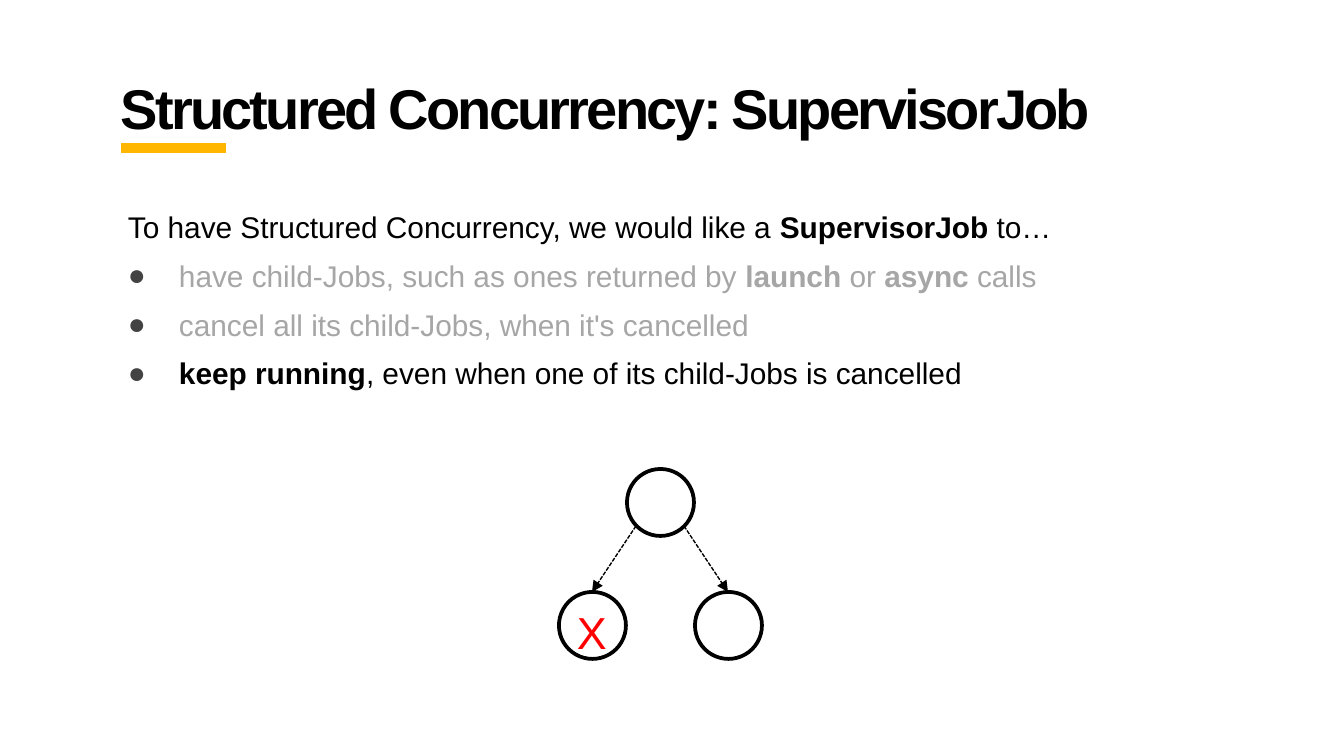
from lxml import etree
from pptx import Presentation
from pptx.dml.color import RGBColor
from pptx.enum.dml import MSO_LINE_DASH_STYLE as Dash
from pptx.enum.shapes import MSO_CONNECTOR as Connector, MSO_SHAPE as Shape
from pptx.enum.text import MSO_AUTO_SIZE as AutoSize
from pptx.oxml.ns import qn
from pptx.util import Emu, Pt

BLACK = RGBColor(0x00, 0x00, 0x00)
GREY = RGBColor(0xA6, 0xA6, 0xA6)
RED = RGBColor(0xFF, 0x00, 0x00)
AMBER = RGBColor(0xFF, 0xB6, 0x00)
BULLET_GREY = RGBColor(0x43, 0x43, 0x43)
FONT = "Arial"
SLIDE_WIDTH, SLIDE_HEIGHT = 1344, 756
INSET = 13

# Each line: colour, bulleted, and (text, bold) pieces
REQUIREMENTS = [
    (BLACK, False, [("To have Structured Concurrency, we would like a ", False),
                    ("SupervisorJob", True), (" to…", False)]),
    (GREY, True, [("have child-Jobs, such as ones returned by ", False),
                  ("launch", True), (" or ", False), ("async", True),
                  (" calls", False)]),
    (GREY, True, [("cancel all its child-Jobs, when it's cancelled", False)]),
    (BLACK, True, [("keep running", True),
                   (", even when one of its child-Jobs is cancelled", False)]),
]


def px(length):
    return Emu(round(length * 914400 / 134.4))


def add_text_frame(slide, left, top, width, height, top_inset=INSET, wrap=True):
    frame = slide.shapes.add_textbox(*map(px, (left, top, width, height))).text_frame
    frame.word_wrap = wrap
    frame.margin_left = frame.margin_right = frame.margin_bottom = px(INSET)
    frame.margin_top = px(top_inset)
    return frame


def style(run, size, color, bold=False):
    font = run.font
    font.name, font.size, font.bold = FONT, Pt(size), bold
    font.color.rgb = color


def add_line(slide, start, end, color, weight):
    line = slide.shapes.add_connector(Connector.STRAIGHT, *map(px, (*start, *end)))
    line.line.color.rgb = color
    line.line.width = Pt(weight)
    etree.SubElement(line._element.spPr, qn("a:effectLst"))
    return line


def add_bullet(paragraph):
    properties = paragraph._p.get_or_add_pPr()
    color = etree.SubElement(properties, qn("a:buClr"))
    etree.SubElement(color, qn("a:srgbClr"), val=str(BULLET_GREY))
    etree.SubElement(properties, qn("a:buFont"), typeface=FONT)
    etree.SubElement(properties, qn("a:buChar"), char="●")


def add_heading(slide, left, top, width, height):
    """Title with tight letter spacing and a short rule beneath it."""
    frame = add_text_frame(slide, left, top, width, height, top_inset=20)
    frame.text = "Structured Concurrency: SupervisorJob"
    title = frame.paragraphs[0].runs[0]
    style(title, 30, BLACK, bold=True)
    title._r.get_or_add_rPr().set("spc", "-150")
    rule_y = top + 94
    add_line(slide, (left + INSET, rule_y), (left + 118, rule_y), AMBER, 5)


def add_requirements(slide, left, top, width, height):
    frame = add_text_frame(slide, left, top, width, height)
    for index, (color, bulleted, pieces) in enumerate(REQUIREMENTS):
        paragraph = frame.add_paragraph() if index else frame.paragraphs[0]
        paragraph.line_spacing = 1.05
        if index:
            paragraph.space_before = Pt(6)
        properties = paragraph._p.get_or_add_pPr()
        properties.set("marL", str(px(67 if bulleted else 16)))
        properties.set("indent", str(px(-51 if bulleted else 0)))
        if bulleted:
            add_bullet(paragraph)
        for text, bold in pieces:
            run = paragraph.add_run()
            run.text = text
            style(run, 16, color, bold)


def add_job(slide, left, top, size):
    job = slide.shapes.add_shape(Shape.OVAL, *map(px, (left, top, size, size)))
    job.shadow.inherit = False
    job.fill.background()
    job.line.color.rgb = BLACK
    job.line.width = Pt(2)


def add_job_tree(slide, left, top, width, height):
    """Parent job above two children, the left one cancelled."""
    size = width // 3
    center = left + width // 2
    child_top = top + height - size
    add_job(slide, center - size // 2, top, size)
    diagonal = round(size / 2 * 0.71)
    for side, child_left in ((-1, left), (1, left + width - size)):
        add_job(slide, child_left, child_top, size)
        start = (center + side * diagonal, top + size // 2 + diagonal)
        arrow = add_line(slide, start, (child_left + size // 2, child_top), BLACK, 0.75)
        arrow.line.dash_style = Dash.SQUARE_DOT
        etree.SubElement(arrow.line._get_or_add_ln(), qn("a:tailEnd"), type="triangle")

    mark = add_text_frame(slide, left + 5, child_top, 58, size, wrap=False)
    mark.auto_size = AutoSize.SHAPE_TO_FIT_TEXT
    mark.text = "X"
    style(mark.paragraphs[0].runs[0], 24, RED)


def main():
    deck = Presentation()
    deck.slide_width, deck.slide_height = px(SLIDE_WIDTH), px(SLIDE_HEIGHT)
    slide = deck.slides.add_slide(deck.slide_layouts[6])
    add_heading(slide, 108, 54, 1122, 85)
    add_requirements(slide, 99, 194, 1122, 482)
    add_job_tree(slide, 559, 469, 203, 190)
    deck.save("out.pptx")


if __name__ == "__main__":
    main()
